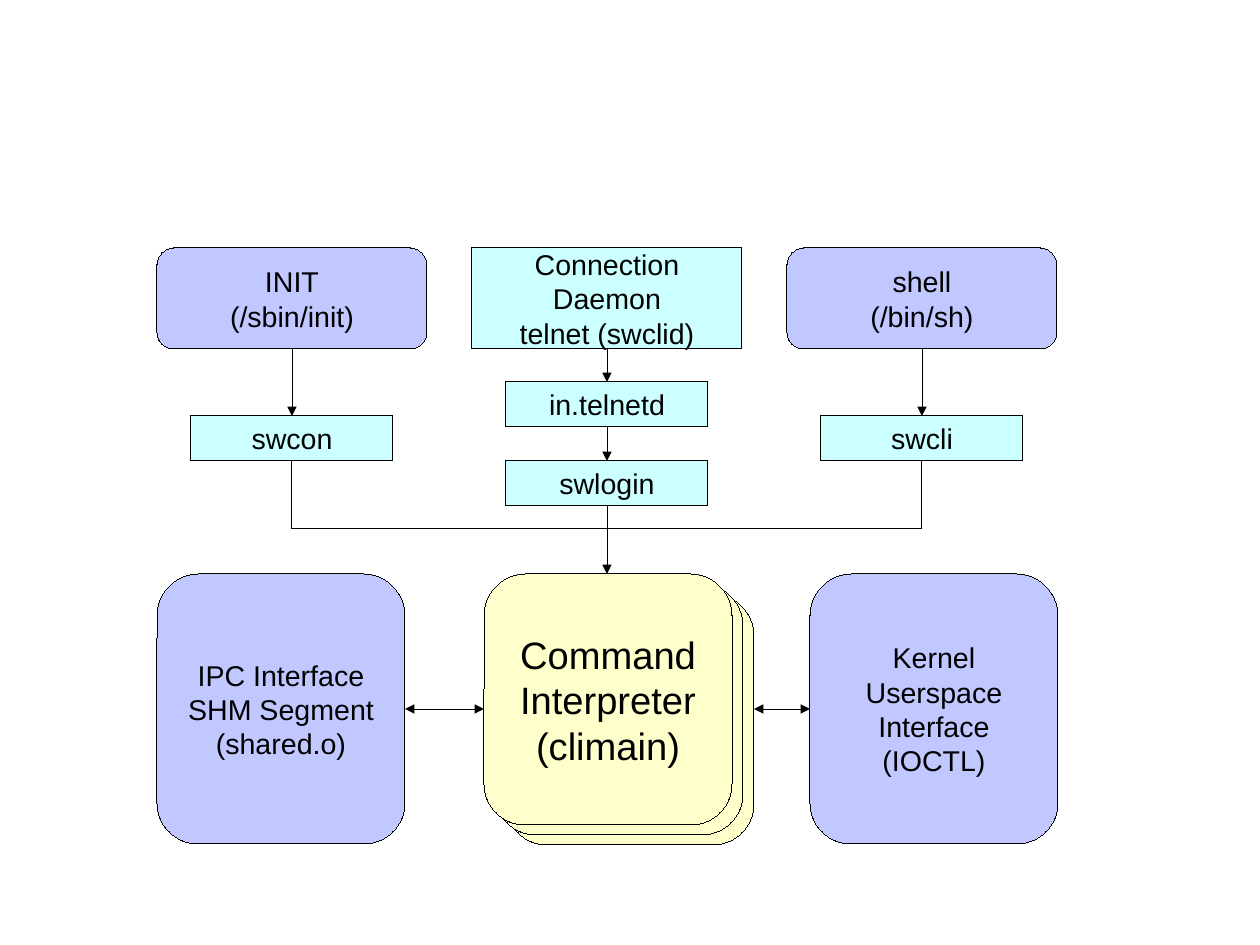
from dataclasses import dataclass

from lxml import etree
from pptx import Presentation
from pptx import util as u
from pptx.dml.color import RGBColor
from pptx.enum import shapes, text
from pptx.oxml.ns import qn

PIXEL = u.Cm(1) / 45
SLIDE_SIZE = (1260, 945)
RECTANGLE = shapes.MSO_SHAPE.RECTANGLE
ROUNDED = shapes.MSO_SHAPE.ROUNDED_RECTANGLE


@dataclass(frozen=True)
class Theme:
    """Colours, font, type sizes and line width of the diagram."""
    font: str = "Arial"
    body: int = 18
    emphasis: int = 24
    hairline: float = 0.01
    ink: RGBColor = RGBColor(0x00, 0x00, 0x00)
    system: RGBColor = RGBColor(0xC1, 0xC7, 0xFF)
    program: RGBColor = RGBColor(0xCC, 0xFF, 0xFF)
    interpreter: RGBColor = RGBColor(0xFF, 0xFF, 0xCC)


THEME = Theme()
COLUMNS = (292, 607, 922)
ENTRY_SIZE = (270, 101)
PROGRAM_SIZE = (202, 45)
INTERFACE_SIZE = (248, 270)
INTERPRETER_SIZE = (248, 251)
ENTRY_TOP, INTERFACE_TOP = 248, 574
ENTRY_BOTTOM = ENTRY_TOP + ENTRY_SIZE[1]
OUTER_PROGRAM_TOP, TELNETD_TOP, LOGIN_TOP = 416, 382, 461
BUS_Y, EXCHANGE_Y = 529, 709


def px(pixels):
    """Turn pixels into EMU."""
    return u.Emu(round(pixels * PIXEL))


def outline(line):
    """Give a line the black hairline style."""
    line.color.rgb = THEME.ink
    line.width = u.Pt(THEME.hairline)


def add_box(container, kind, center, top, size, fill, label="", points=THEME.body):
    """Add a filled box around a centre line, with centred text."""
    width, height = size
    shape = container.add_shape(kind, px(center - width / 2), px(top), px(width), px(height))
    shape.shadow.inherit = False
    shape.fill.solid()
    shape.fill.fore_color.rgb = fill
    outline(shape.line)
    if label:
        write_label(shape.text_frame, label, points)


def write_label(frame, label, points):
    """Write one centred paragraph for each line of the label."""
    frame.text = label
    frame.word_wrap = True
    frame.vertical_anchor = text.MSO_ANCHOR.MIDDLE
    for paragraph in frame.paragraphs:
        paragraph.alignment = text.PP_ALIGN.CENTER
        for run in paragraph.runs:
            run.font.name = THEME.font
            run.font.size = u.Pt(points)
            run.font.color.rgb = THEME.ink


def add_arrow(container, start, end, both_ways=False):
    """Add a straight arrow, with a head at one end or at both."""
    connector = container.add_connector(
        shapes.MSO_CONNECTOR.STRAIGHT, *map(px, start + end))
    outline(connector.line)
    line = connector._element.spPr.find(qn("a:ln"))
    for tag in ("a:headEnd", "a:tailEnd") if both_ways else ("a:tailEnd",):
        etree.SubElement(line, qn(tag), type="triangle")
    etree.SubElement(connector._element.spPr, qn("a:effectLst"))


def add_bus(container, points):
    """Add an open line through the points."""
    start, *others = [(px(x), px(y)) for x, y in points]
    builder = container.build_freeform(*start)
    builder.add_line_segments(others, close=False)
    shape = builder.convert_to_shape()
    shape.shadow.inherit = False
    shape.fill.background()
    outline(shape.line)


def add_interpreter(container):
    """Add the stack of command interpreters, front one labelled."""
    stack = container.add_group_shape().shapes
    for step, label in ((2, ""), (1, ""), (0, "Command\nInterpreter\n(climain)")):
        add_box(stack, ROUNDED, 608 + 11 * step, INTERFACE_TOP + 10 * step,
                INTERPRETER_SIZE, THEME.interpreter, label, THEME.emphasis)


def main():
    """Build the slide and save it."""
    presentation = Presentation()
    presentation.slide_width, presentation.slide_height = map(px, SLIDE_SIZE)
    slide = presentation.slides.add_slide(presentation.slide_layouts[6])
    container = slide.shapes
    left, middle, right = COLUMNS

    add_interpreter(container)

    entries = (
        (ROUNDED, THEME.system, "INIT\n(/sbin/init)"),
        (RECTANGLE, THEME.program, "Connection Daemon\ntelnet (swclid)"),
        (ROUNDED, THEME.system, "shell\n(/bin/sh)"),
    )
    for center, (kind, fill, label) in zip(COLUMNS, entries):
        add_box(container, kind, center, ENTRY_TOP, ENTRY_SIZE, fill, label)

    programs = (
        (left, OUTER_PROGRAM_TOP, "swcon"),
        (middle, TELNETD_TOP, "in.telnetd"),
        (middle, LOGIN_TOP, "swlogin"),
        (right, OUTER_PROGRAM_TOP, "swcli"),
    )
    for center, top, label in programs:
        add_box(container, RECTANGLE, center, top, PROGRAM_SIZE, THEME.program, label)

    interfaces = (
        (281, "IPC Interface\nSHM Segment\n(shared.o)"),
        (934, "Kernel\nUserspace\nInterface\n(IOCTL)"),
    )
    for center, label in interfaces:
        add_box(container, ROUNDED, center, INTERFACE_TOP, INTERFACE_SIZE,
                THEME.system, label)

    program_height = PROGRAM_SIZE[1]
    drops = (
        (left, ENTRY_BOTTOM, OUTER_PROGRAM_TOP),
        (right, ENTRY_BOTTOM, OUTER_PROGRAM_TOP),
        (middle, ENTRY_BOTTOM, TELNETD_TOP),
        (middle, TELNETD_TOP + program_height, LOGIN_TOP),
        (middle, LOGIN_TOP + program_height, INTERFACE_TOP),
    )
    for x, top, bottom in drops:
        add_arrow(container, (x, top), (x, bottom))

    bus_top = OUTER_PROGRAM_TOP + program_height
    add_bus(container, ((left, bus_top), (left, BUS_Y), (right, BUS_Y), (right, bus_top)))

    for start, end in ((405, 484), (754, 810)):
        add_arrow(container, (start, EXCHANGE_Y), (end, EXCHANGE_Y), both_ways=True)

    presentation.save("out.pptx")


main()
